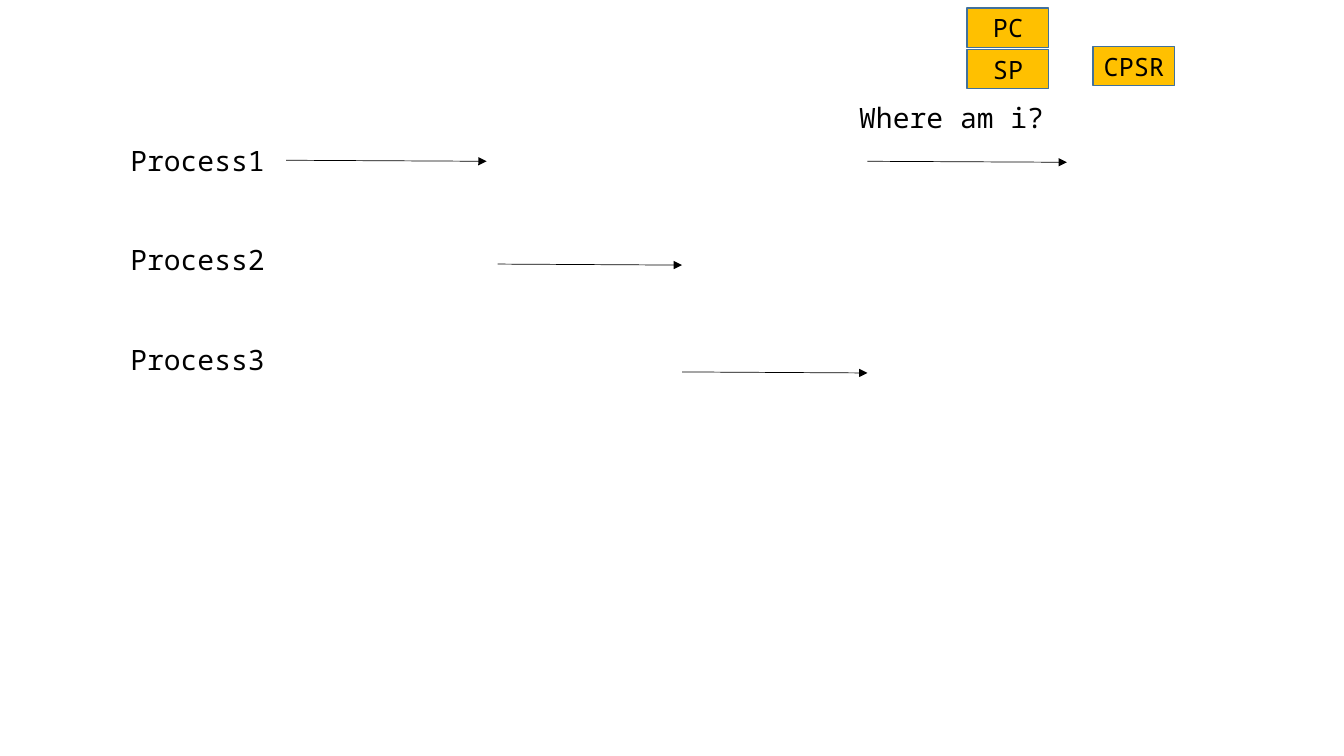
from typing import NamedTuple

from lxml import etree
from pptx import Presentation
from pptx import util as u
from pptx.dml.color import RGBColor
from pptx.enum import shapes, text
from pptx.oxml.ns import qn

CELL = 0.1  # inches per grid column and row
SLIDE_COLS, SLIDE_ROWS = 133.4, 75
FONT = "Noto Sans Mono"
BLACK, AMBER, BLUE = "000000", "FFC000", "41719C"
LABEL_ROWS = 4.4
REGISTER_COLS, REGISTER_ROWS = 8.1, 3.9
ARROW_DROP = 0.1
PROCESS_TOP, PROCESS_PITCH = 13.7, 9.9


class Label(NamedTuple):
    words: str
    col: float
    row: float
    cols: float


class Run(NamedTuple):
    """A stretch of time in which one process is running."""
    start: float
    end: float
    row: float


class Register(NamedTuple):
    title: str
    col: float
    row: float


LABELS = [Label(f"Process{n + 1}", 11.95, PROCESS_TOP + n * PROCESS_PITCH, 17)
          for n in range(3)]
LABELS.append(Label("Where am i?", 84.3, 9.5, 22))
RUNS = [Run(28.4, 48.3, 15.9), Run(49.4, 67.7, 26.2),
        Run(67.7, 86.1, 36.9), Run(86.1, 105.9, 16)]
REGISTERS = [Register("PC", 96, 0.8), Register("SP", 96, 4.9),
             Register("CPSR", 108.5, 4.6)]


def grid(cells: float) -> u.Length:
    return u.Inches(cells * CELL)


def colour(value: str) -> RGBColor:
    return RGBColor.from_string(value)


def write(frame, words: str, size: int) -> None:
    frame.text = words
    font = frame.paragraphs[0].runs[0].font
    font.name, font.size = FONT, u.Pt(size)
    font.color.rgb = colour(BLACK)


def draw_label(slide, label: Label) -> None:
    box = slide.shapes.add_textbox(grid(label.col), grid(label.row),
                                   grid(label.cols), grid(LABEL_ROWS))
    box.text_frame.word_wrap = True
    write(box.text_frame, label.words, 20)


def draw_run(slide, run: Run) -> None:
    arrow = slide.shapes.add_connector(
        shapes.MSO_CONNECTOR.STRAIGHT, grid(run.start), grid(run.row),
        grid(run.end), grid(run.row + ARROW_DROP))
    arrow.line.color.rgb = colour(BLACK)
    arrow.line.width = u.Pt(0.5)
    outline = arrow.line._get_or_add_ln()
    etree.SubElement(outline, qn("a:tailEnd"), type="triangle")
    etree.SubElement(arrow._element.spPr, qn("a:effectLst"))


def draw_register(slide, register: Register) -> None:
    tile = slide.shapes.add_shape(
        shapes.MSO_SHAPE.RECTANGLE, grid(register.col), grid(register.row),
        grid(REGISTER_COLS), grid(REGISTER_ROWS))
    tile.shadow.inherit = False
    tile.fill.solid()
    tile.fill.fore_color.rgb = colour(AMBER)
    tile.line.color.rgb = colour(BLUE)
    tile.line.width = u.Pt(1)
    frame = tile.text_frame
    frame.word_wrap = False
    frame.vertical_anchor = text.MSO_ANCHOR.MIDDLE
    write(frame, register.title, 18)
    frame.paragraphs[0].alignment = text.PP_ALIGN.CENTER


def main() -> None:
    deck = Presentation()
    deck.slide_width, deck.slide_height = grid(SLIDE_COLS), grid(SLIDE_ROWS)
    slide = deck.slides.add_slide(deck.slide_layouts[6])
    for label in LABELS:
        draw_label(slide, label)
    for run in RUNS:
        draw_run(slide, run)
    for register in REGISTERS:
        draw_register(slide, register)
    deck.save("out.pptx")


if __name__ == "__main__":
    main()
